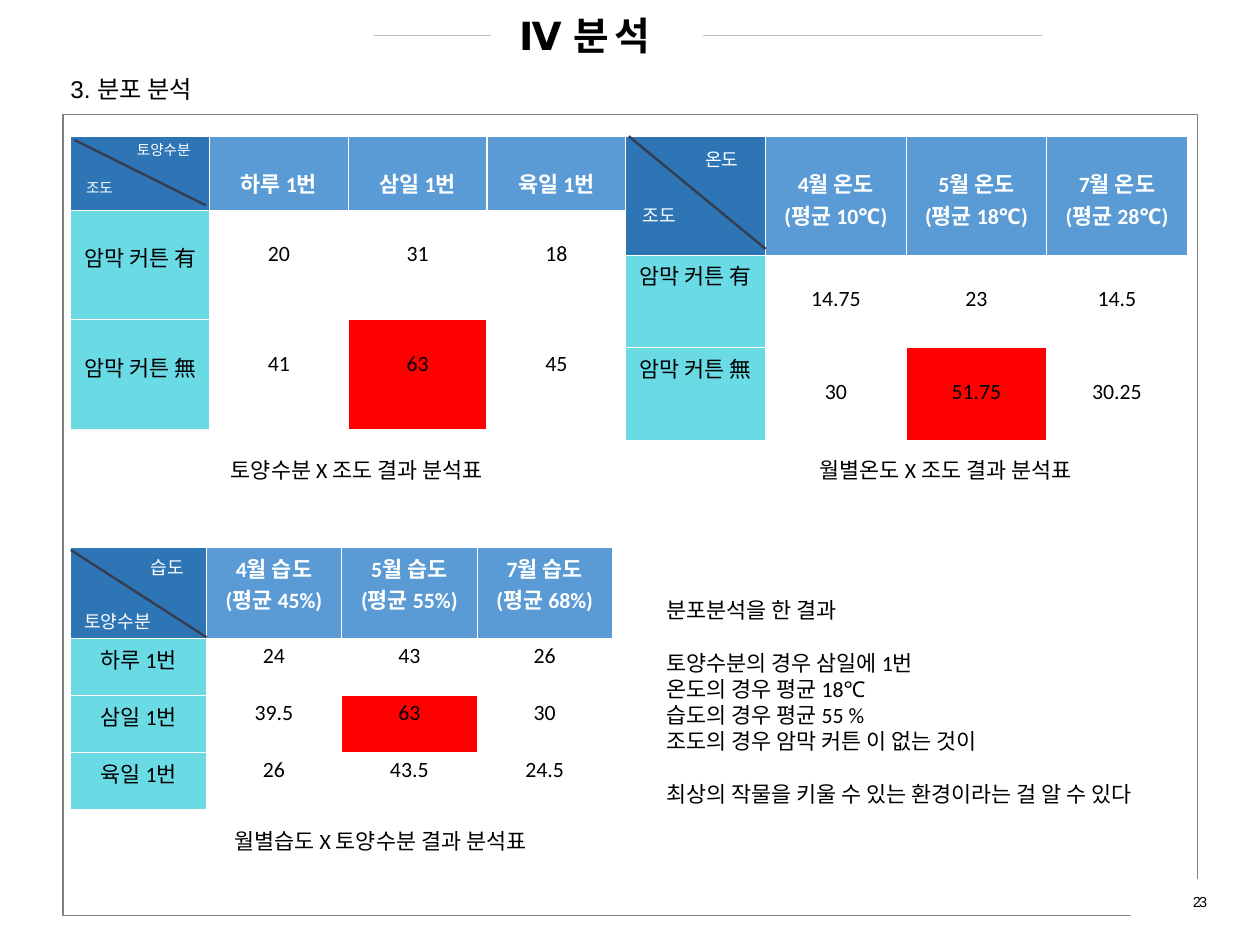
import pptx
import pptx.dml.color
import pptx.enum.shapes
import pptx.enum.text
import pptx.oxml
import pptx.oxml.ns
import pptx.util
import lxml.etree

Pt = pptx.util.Pt
RGBColor = pptx.dml.color.RGBColor
ALIGN = pptx.enum.text.PP_ALIGN
ANCHOR = pptx.enum.text.MSO_ANCHOR
BLACK = RGBColor(0x00, 0x00, 0x00)
WHITE = RGBColor(0xFF, 0xFF, 0xFF)
FRAME_GRAY = RGBColor(0x80, 0x80, 0x80)
RULE_GRAY = RGBColor(0xBF, 0xBF, 0xBF)
CORNER_BLUE = RGBColor(0x2E, 0x75, 0xB6)
HEADER_BLUE = RGBColor(0x5B, 0x9B, 0xD5)
LABEL_CYAN = RGBColor(0x6A, 0xDA, 0xE5)
PEAK_RED = RGBColor(0xFF, 0x00, 0x00)
DIAGONAL = RGBColor(0x35, 0x3D, 0x50)
CELL_MARGIN = 3.6
LINE_GAP = 22
SHADOW = (
    '<a:effectLst xmlns:a="http://schemas.openxmlformats.org/drawingml/2006/main">'
    '<a:outerShdw blurRad="38100" dist="38100" dir="2700000" algn="tl">'
    '<a:srgbClr val="000000"><a:alpha val="43000"/></a:srgbClr>'
    '</a:outerShdw></a:effectLst>'
)


def write(frame, text, size=18, font="Calibri", color=BLACK, bold=False, align=ALIGN.LEFT,
          east_asian=None, spacing=None, shadow=False, gaps_before=()):
    """Fill a text frame with one formatted paragraph per line."""
    for index, line in enumerate(text.split("\n")):
        paragraph = frame.add_paragraph() if index else frame.paragraphs[0]
        paragraph.alignment = align
        if index in gaps_before:
            paragraph.space_before = Pt(LINE_GAP)
        run = paragraph.add_run()
        run.text = line
        run.font.size = Pt(size)
        run.font.bold = bold
        run.font.color.rgb = color
        run.font.name = font
        properties = run.font._element
        if east_asian:
            element = lxml.etree.SubElement(properties, pptx.oxml.ns.qn("a:ea"))
            element.set("typeface", east_asian)
        if spacing:
            properties.set("spc", str(int(spacing * 100)))
        if shadow:
            fill = properties.find(pptx.oxml.ns.qn("a:solidFill"))
            fill.addnext(pptx.oxml.parse_xml(SHADOW))


def add_text(slide, box, text, anchor=ANCHOR.TOP, **style):
    """Add a wrapping text box at left, top, width, height."""
    frame = slide.shapes.add_textbox(*map(Pt, box)).text_frame
    frame.word_wrap = True
    frame.vertical_anchor = anchor
    write(frame, text, east_asian="Calibri", **style)


def add_rectangle(slide, box, line=None):
    """Add a white rectangle with an optional outline."""
    shape = slide.shapes.add_shape(pptx.enum.shapes.MSO_SHAPE.RECTANGLE, *map(Pt, box))
    shape.shadow.inherit = False
    shape.fill.solid()
    shape.fill.fore_color.rgb = WHITE
    if line is None:
        shape.line.fill.background()
    else:
        shape.line.color.rgb = line
        shape.line.width = Pt(1)


def add_line(slide, ends, color, width):
    """Add a straight line through begin x, begin y, end x, end y."""
    connector = slide.shapes.add_connector(
        pptx.enum.shapes.MSO_CONNECTOR.STRAIGHT, *map(Pt, ends))
    connector.line.color.rgb = color
    connector.line.width = Pt(width)
    lxml.etree.SubElement(connector._element.spPr, pptx.oxml.ns.qn("a:effectLst"))


def add_page_frame(slide, box):
    """Draw the outlined content area and the page number at its corner."""
    left, top, width, height = box
    right, bottom = left + width, top + height
    add_rectangle(slide, box, FRAME_GRAY)
    add_rectangle(slide, (right - 55.5, bottom - 30, 106, 55))
    add_text(slide, (right - 219, bottom - 19.5, 234, 16.5), "23", ANCHOR.MIDDLE,
             size=12, font="Arial", align=ALIGN.RIGHT, spacing=-1.5)


def add_heading(slide, box):
    """Draw the ruled slide title and the section heading below it."""
    left, top, width, height = box
    add_line(slide, (left + 258, top + 29.5, left + 809, top + 29.5), RULE_GRAY, 0.5)
    add_rectangle(slide, (left + 354.5, top + 9.5, 174, 57.5), WHITE)
    title = dict(size=32, font="Arial", bold=True)
    add_text(slide, (left + 380.5, top + 6, 147.5, 46), "분 석",
             align=ALIGN.CENTER, spacing=-1.5, shadow=True, **title)
    add_text(slide, (left + 370.5, top + 6.5, 45, 46), "Ⅳ", **title)
    add_text(slide, (left, top + height - 31.5, 240, 31.5), "3. 분포 분석",
             size=20, font="Arial")


def add_analysis_table(slide, box, row_heights, rows, peak, gaps, diagonal, axes,
                       axis_size, caption, caption_box):
    """Draw a table with a split corner cell, a marked peak and a caption."""
    left, top, width = box
    table = slide.shapes.add_table(
        len(rows), len(rows[0]), *map(Pt, (*box, sum(row_heights)))).table
    table.horz_banding = False
    for column in table.columns:
        column.width = Pt(width / len(rows[0]))
    header_gap, label_gap, value_gap = gaps
    for row, texts in enumerate(rows):
        table.rows[row].height = Pt(row_heights[row])
        for column, text in enumerate(texts):
            cell = table.cell(row, column)
            if row == 0:
                fill, gap = (HEADER_BLUE if column else CORNER_BLUE), header_gap
            elif column == 0:
                fill, gap = LABEL_CYAN, label_gap
            else:
                fill, gap = (PEAK_RED if (row, column) == peak else WHITE), value_gap
            cell.fill.solid()
            cell.fill.fore_color.rgb = fill
            cell.margin_top = Pt(CELL_MARGIN + gap)
            if text:
                write(cell.text_frame, text, color=BLACK if row else WHITE,
                      bold=row == 0, align=ALIGN.CENTER)
    begin_x, begin_y, end_x, end_y = diagonal
    add_line(slide, (left + begin_x, top + begin_y, left + end_x, top + end_y), DIAGONAL, 2)
    for text, x, y in axes:
        add_text(slide, (left + x, top + y, 100, 25), text, size=axis_size, color=WHITE)
    x, y, caption_width = caption_box
    add_text(slide, (left + x, top + y, caption_width, 29), caption)


def add_conclusion(slide, box):
    """Write the summary of the distribution analysis."""
    add_text(slide, box, "분포분석을 한 결과\n토양수분의 경우 삼일에 1번\n온도의 경우 평균 18℃\n"
             "습도의 경우 평균 55 %\n조도의 경우 암막 커튼 이 없는 것이\n"
             "최상의 작물을 키울 수 있는 환경이라는 걸 알 수 있다", gaps_before=(1, 5))


def main():
    """Build the distribution analysis slide."""
    presentation = pptx.Presentation()
    presentation.slide_width, presentation.slide_height = Pt(1040), Pt(780)
    slide = presentation.slides.add_slide(presentation.slide_layouts[6])
    add_page_frame(slide, (52, 94.5, 936.5, 661))
    add_heading(slide, (51, 0, 936, 89))
    add_analysis_table(
        slide, (58.5, 452, 447), (75, 47, 47, 47),
        [["", "4월 습도\n(평균 45%)", "5월 습도\n(평균 55%)", "7월 습도\n(평균 68%)"],
         ["하루 1번", "24", "43", "26"],
         ["삼일 1번", "39.5", "63", "30"],
         ["육일 1번", "26", "43.5", "24.5"]],
        peak=(2, 2), gaps=(0, 0, 0), diagonal=(0, 2, 112, 74),
        axes=[("토양수분", 4, 48.5), ("습도", 59, 3.5)], axis_size=15,
        caption="월별습도 X 토양수분 결과 분석표", caption_box=(128, 227.5, 294))
    add_analysis_table(
        slide, (516, 112.5, 464), (98, 76.5, 76.5),
        [["", "4월 온도\n(평균 10℃)", "5월 온도\n(평균 18℃)", "7월 온도\n(평균 28℃)"],
         ["암막 커튼 有", "14.75", "23", "14.5"],
         ["암막 커튼 無", "30", "51.75", "30.25"]],
        peak=(2, 2), gaps=(LINE_GAP, 0, LINE_GAP), diagonal=(3, 0, 116, 93),
        axes=[("온도", 59, 6.5), ("조도", 7.5, 52.5)], axis_size=15,
        caption="월별온도 X 조도 결과 분석표", caption_box=(153.5, 261, 248))
    add_analysis_table(
        slide, (58.5, 112.5, 458), (61, 90.5, 90.5),
        [["", "하루 1번", "삼일 1번", "육일 1번"],
         ["암막 커튼 有", "20", "31", "18"],
         ["암막 커튼 無", "41", "63", "45"]],
        peak=(2, 2), gaps=(LINE_GAP, LINE_GAP, LINE_GAP), diagonal=(3, 3, 111.5, 57),
        axes=[("토양수분", 47.5, 0), ("조도", 5.5, 31.5)], axis_size=12,
        caption="토양수분 X 조도 결과 분석표", caption_box=(125, 261, 248))
    add_conclusion(slide, (543, 489, 454, 181))
    presentation.save("out.pptx")


if __name__ == "__main__":
    main()
